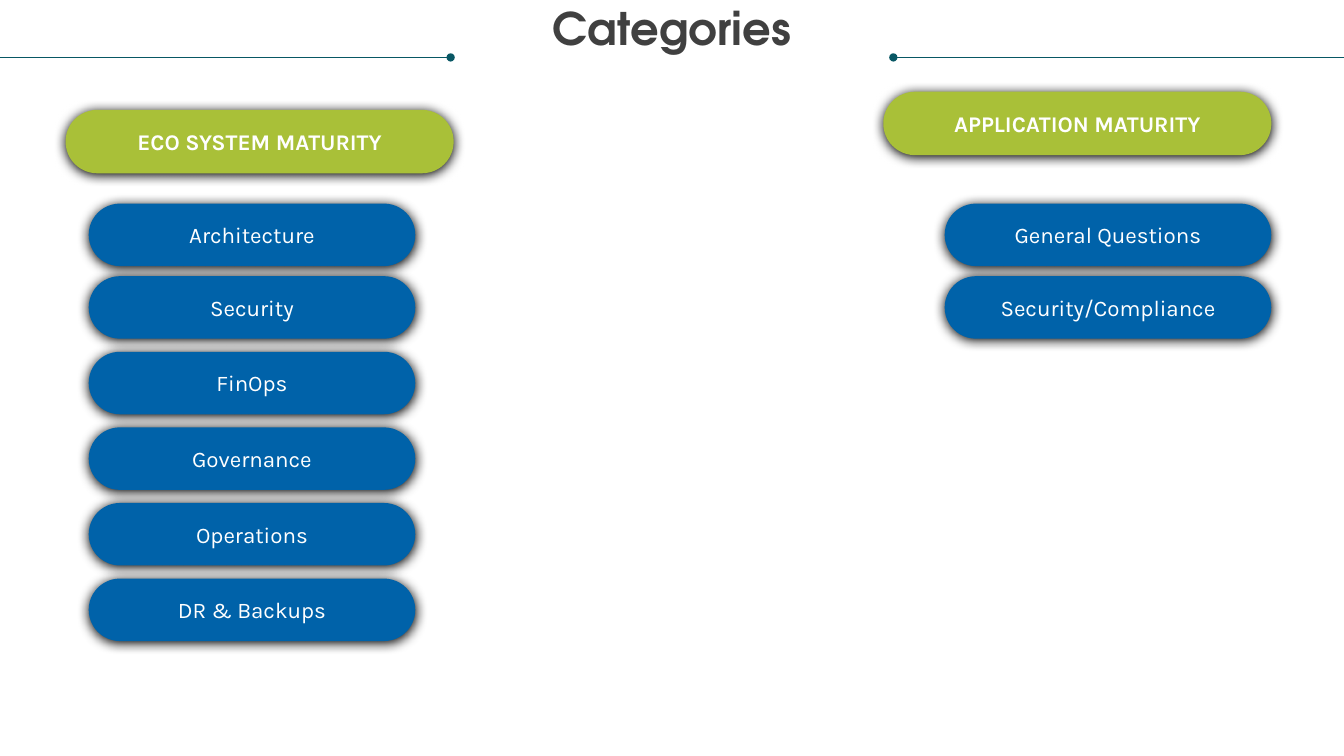
from lxml import etree
from pptx import Presentation
from pptx.dml.color import RGBColor
from pptx.enum.shapes import MSO_CONNECTOR, MSO_SHAPE
from pptx.enum.text import MSO_ANCHOR, PP_ALIGN
from pptx.oxml.ns import qn
from pptx.util import Inches, Pt

STRAIGHT = MSO_CONNECTOR.STRAIGHT
ROUNDED = MSO_SHAPE.ROUNDED_RECTANGLE
CENTER = PP_ALIGN.CENTER
TOP, MIDDLE = MSO_ANCHOR.TOP, MSO_ANCHOR.MIDDLE

BLACK = RGBColor(0x00, 0x00, 0x00)
WHITE = RGBColor(0xFF, 0xFF, 0xFF)
CHARCOAL = RGBColor(0x40, 0x40, 0x40)
TEAL = RGBColor(0x08, 0x57, 0x64)
GREEN = RGBColor(0xA9, 0xC0, 0x38)
BLUE = RGBColor(0x00, 0x62, 0xA9)

# Positions and sizes are percentages of the slide's width and height
RULE_Y, RULE_LENGTH = 7.6, 33.53
HEADING_SIZE = (28.88, 8.4)
CATEGORY_SIZE = (24.3, 8.27)
FIRST_CATEGORY_Y, SECOND_CATEGORY_Y, CATEGORY_PITCH = 26.93, 36.53, 10

# Heading, heading x and y, category x, categories
MATURITY_GROUPS = [
    ("ECO SYSTEM MATURITY", 4.88, 14.53, 6.6,
     ["Architecture", "Security", "FinOps", "Governance", "Operations",
      "DR & Backups"]),
    ("APPLICATION MATURITY", 65.72, 12.13, 70.29,
     ["General Questions", "Security/Compliance"]),
]


class CategorySlide:
    title_font = "TeX Gyre Adventor"
    body_font = "Karla"

    def __init__(self, deck):
        self.width, self.height = deck.slide_width, deck.slide_height
        self.shapes = deck.slides.add_slide(deck.slide_layouts[6]).shapes

    def x(self, share):
        return round(self.width * share / 100)

    def y(self, share):
        return round(self.height * share / 100)

    def set_text(self, frame, text, font_name, size, color, bold, anchor):
        frame.text = text
        frame.word_wrap = True
        frame.vertical_anchor = anchor
        paragraph = frame.paragraphs[0]
        paragraph.alignment = CENTER
        font = paragraph.runs[0].font
        font.name, font.size, font.bold = font_name, Pt(size), bold
        font.color.rgb = color
        return paragraph

    def title(self, text, left, top, width, height):
        box = self.shapes.add_textbox(
            self.x(left), self.y(top), self.x(width), self.y(height))
        frame = box.text_frame
        frame.margin_left = frame.margin_right = 0
        frame.margin_top = frame.margin_bottom = 0
        paragraph = self.set_text(
            frame, text, self.title_font, 32, CHARCOAL, True, TOP)
        paragraph.line_spacing = 0.9

    def rule(self, start, end, dotted_end):
        line = self.shapes.add_connector(
            STRAIGHT, self.x(start), self.y(RULE_Y), self.x(end), self.y(RULE_Y))
        line.line.color.rgb = TEAL
        line.line.width = Pt(0.5)
        properties = line._element.spPr
        outline = properties.find(qn("a:ln"))
        etree.SubElement(outline, qn(dotted_end), type="oval")
        etree.SubElement(properties, qn("a:effectLst"))

    def pill(self, text, left, top, size, fill, bold=False):
        width, height = size
        pill = self.shapes.add_shape(
            ROUNDED, self.x(left), self.y(top), self.x(width), self.y(height))
        pill.adjustments[0] = 0.5
        pill.fill.solid()
        pill.fill.fore_color.rgb = fill
        pill.line.fill.background()
        self.soft_shadow(pill)
        self.set_text(
            pill.text_frame, text, self.body_font, 16, WHITE, bold, MIDDLE)

    def soft_shadow(self, shape):
        shape.shadow.inherit = False
        effects = shape._element.spPr.find(qn("a:effectLst"))
        shadow = etree.SubElement(
            effects, qn("a:outerShdw"), blurRad=str(Pt(8.5)), dist=str(Pt(1)),
            dir=str(90 * 60000), algn="ctr", rotWithShape="0")
        etree.SubElement(shadow, qn("a:srgbClr"), val=str(BLACK))


def main():
    deck = Presentation()
    deck.slide_width, deck.slide_height = Inches(13.33), Inches(7.5)
    slide = CategorySlide(deck)

    # Title between two dotted rules
    slide.rule(100 - RULE_LENGTH, 100, "a:headEnd")
    slide.title("Categories", 1.88, 0.93, 96.24, 12.13)
    slide.rule(0, RULE_LENGTH, "a:tailEnd")

    # Maturity headings with their categories
    for heading, heading_x, heading_y, category_x, categories in MATURITY_GROUPS:
        slide.pill(heading, heading_x, heading_y, HEADING_SIZE, GREEN, bold=True)
        first, *others = categories
        slide.pill(first, category_x, FIRST_CATEGORY_Y, CATEGORY_SIZE, BLUE)
        for row, category in enumerate(others):
            category_y = SECOND_CATEGORY_Y + row * CATEGORY_PITCH
            slide.pill(category, category_x, category_y, CATEGORY_SIZE, BLUE)

    deck.save("out.pptx")


if __name__ == "__main__":
    main()
